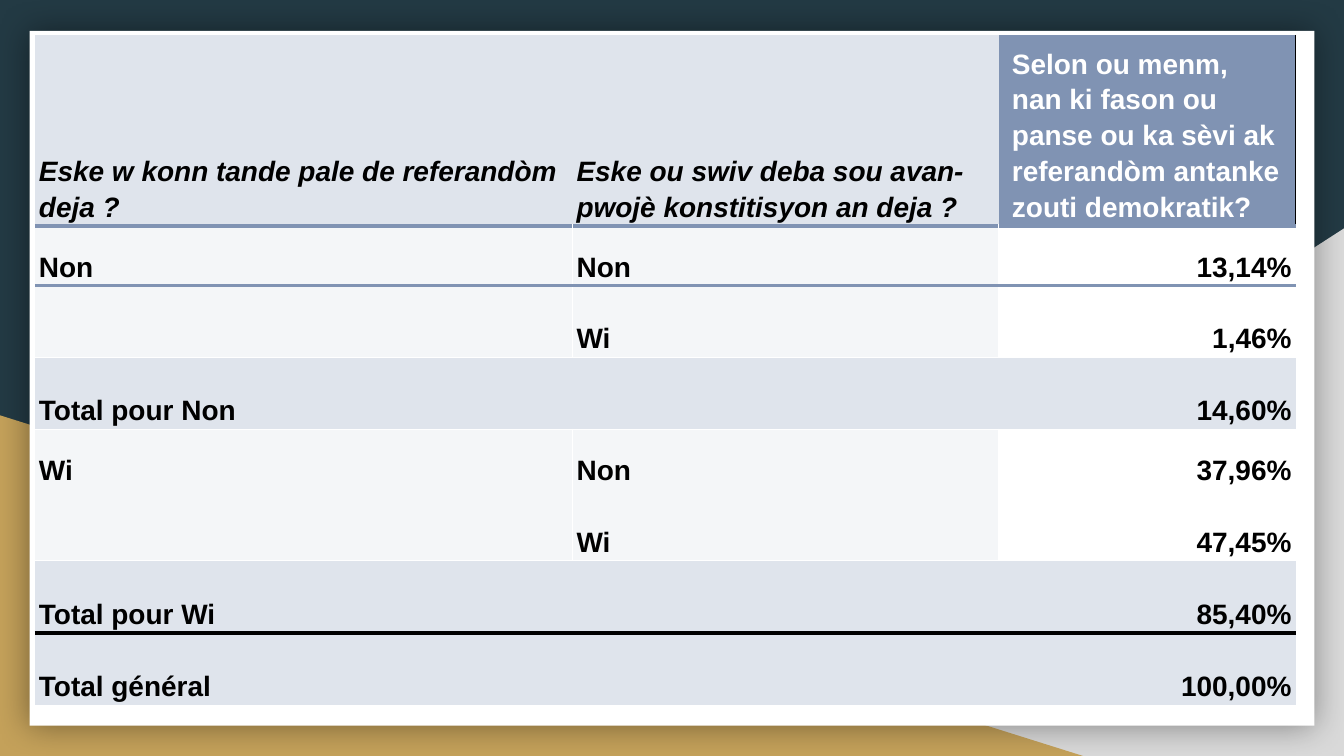
from lxml import etree
from pptx import Presentation
from pptx import util as u
from pptx.dml.color import RGBColor
from pptx.enum import shapes, text
from pptx.oxml import ns

NAVY = RGBColor(0x23, 0x3A, 0x44)
GREY = RGBColor(0xD9, 0xD9, 0xD9)
GOLD = RGBColor(0xC4, 0xA1, 0x5A)
WHITE = RGBColor(0xFF, 0xFF, 0xFF)
BLACK = RGBColor(0, 0, 0)
BLUE = RGBColor(0x80, 0x93, 0xB3)
BAND = RGBColor(0xDF, 0xE4, 0xEC)
PALE = RGBColor(0xF4, 0xF6, 0xF8)

NO_STYLE = "{2D5ABB26-0587-4C30-8999-92F81FD0307C}"
WIDTH = 10
HEIGHT = WIDTH * 9 / 16
COLS = [4, 3.17, 2.21]
TALL, SHORT = 1.07 / 2, 0.89 / 2
HEIGHTS = [1.42, SHORT, TALL, TALL, SHORT, TALL, TALL, TALL]
HEADER = [
    "Eske w konn tande pale de referandòm deja ?",
    "Eske ou swiv deba sou avan-pwojè konstitisyon an deja ?",
    "Selon ou menm, nan ki fason ou panse ou ka sèvi ak referandòm antanke zouti demokratik?",
]
BODY = [
    ["Non", "Non", "13,14%"],
    ["", "Wi", "1,46%"],
    ["Total pour Non", "", "14,60%"],
    ["Wi", "Non", "37,96%"],
    ["", "Wi", "47,45%"],
    ["Total pour Wi", "", "85,40%"],
    ["Total général", "", "100,00%"],
]
# Rules under rows, by row number: colour and width in points
RULES = {0: (BLUE, 2.25), 1: (BLUE, 2.25), 2: (WHITE, 0.75),
         5: (WHITE, 0.75), 6: (BLACK, 2.25)}


def sub(parent, tag, **attrs):
    return etree.SubElement(parent, ns.qn(tag), {k: str(v) for k, v in attrs.items()})


def write(tf, words, font="Arial", size=15, color=BLACK, italic=False,
          align=text.PP_ALIGN.LEFT):
    tf.word_wrap = True
    p = tf.paragraphs[0]
    p.alignment = align
    p.line_spacing = 1.15
    if words:
        r = p.add_run()
        r.text = words
        r.font.name, r.font.size = font, u.Pt(size)
        r.font.bold, r.font.italic = True, italic
        r.font.color.rgb = color


class Deck:
    def __init__(self, prs):
        self.s = prs.slides.add_slide(prs.slide_layouts[6])

    def background(self, color):
        fill = self.s.background.fill
        fill.solid()
        fill.fore_color.rgb = color

    def shape(self, kind, box, color, flip=False, glow=False):
        sp = self.s.shapes.add_shape(kind, *map(u.Inches, box))
        sp.shadow.inherit = False
        sp.fill.solid()
        sp.fill.fore_color.rgb = color
        sp.line.fill.background()
        pr = sp._element.spPr
        if flip:
            pr.find(ns.qn("a:xfrm")).set("flipH", "1")
        if glow:
            shadow = sub(pr.find(ns.qn("a:effectLst")), "a:outerShdw",
                         blurRad=u.Pt(18), dist=0, algn="ctr", rotWithShape=0)
            sub(sub(shadow, "a:srgbClr", val=BLACK), "a:alpha", val=40000)

    def table(self, left, top, cols, heights):
        frame = self.s.shapes.add_table(
            len(heights), len(cols), u.Inches(left), u.Inches(top),
            u.Inches(sum(cols)), u.Inches(sum(heights)))
        tbl = frame.table
        tbl.first_row = tbl.horz_banding = False
        tbl._tbl.tblPr.find(ns.qn("a:tableStyleId")).text = NO_STYLE
        for col, width in zip(tbl.columns, cols):
            col.width = u.Inches(width)
        for row, height in zip(tbl.rows, heights):
            row.height = u.Inches(height)
        return tbl

    def cell(self, cell, words, fill, borders, inset=0.03, **style):
        cell.margin_left = cell.margin_right = u.Inches(inset)
        cell.margin_top = cell.margin_bottom = u.Inches(0.02)
        cell.vertical_anchor = text.MSO_ANCHOR.BOTTOM
        write(cell.text_frame, words, **style)
        # Borders come before the fill, in the order L, R, T, B
        pr = cell._tc.get_or_add_tcPr()
        for side in "LRTB":
            if borders.get(side):
                color, width = borders[side]
                ln = sub(pr, "a:ln" + side, w=u.Pt(width))
                sub(sub(ln, "a:solidFill"), "a:srgbClr", val=color)
        cell.fill.solid()
        cell.fill.fore_color.rgb = fill


def main():
    prs = Presentation()
    prs.slide_width, prs.slide_height = u.Inches(WIDTH), u.Inches(HEIGHT)
    deck = Deck(prs)

    # Backdrop and white card
    kinds = shapes.MSO_SHAPE
    deck.background(NAVY)
    deck.shape(kinds.RIGHT_TRIANGLE, (3.92, 1.7, 6.08, HEIGHT - 1.7), GREY, flip=True)
    deck.shape(kinds.RIGHT_TRIANGLE, (0, 3.09, 8.06, HEIGHT - 3.09), GOLD)
    deck.shape(kinds.RECTANGLE, (0.22, 0.23, 9.56, 5.17), WHITE, glow=True)

    # Header row
    tbl = deck.table(0.26, 0.26, COLS, HEIGHTS)
    for j, words in enumerate(HEADER):
        borders = {"B": RULES[0]}
        if j < 2:
            deck.cell(tbl.cell(0, j), words, BAND, borders, italic=True)
        else:
            borders["R"] = (BLACK, 0.75)
            deck.cell(tbl.cell(0, j), words, BLUE, borders, inset=0.1, color=WHITE)

    # Detail and total rows
    thin = (WHITE, 0.75)
    for i, row in enumerate(BODY, 1):
        total = row[0].startswith("Total")
        for j, words in enumerate(row):
            last = j == 2
            borders = {"T": RULES.get(i - 1), "B": RULES.get(i)}
            if not total:
                borders["L"] = thin if j else None
                borders["R"] = None if last else thin
            fill = BAND if total else WHITE if last else PALE
            align = text.PP_ALIGN.RIGHT if last else text.PP_ALIGN.LEFT
            deck.cell(tbl.cell(i, j), words, fill, borders, align=align)

    prs.save("out.pptx")


if __name__ == "__main__":
    main()
